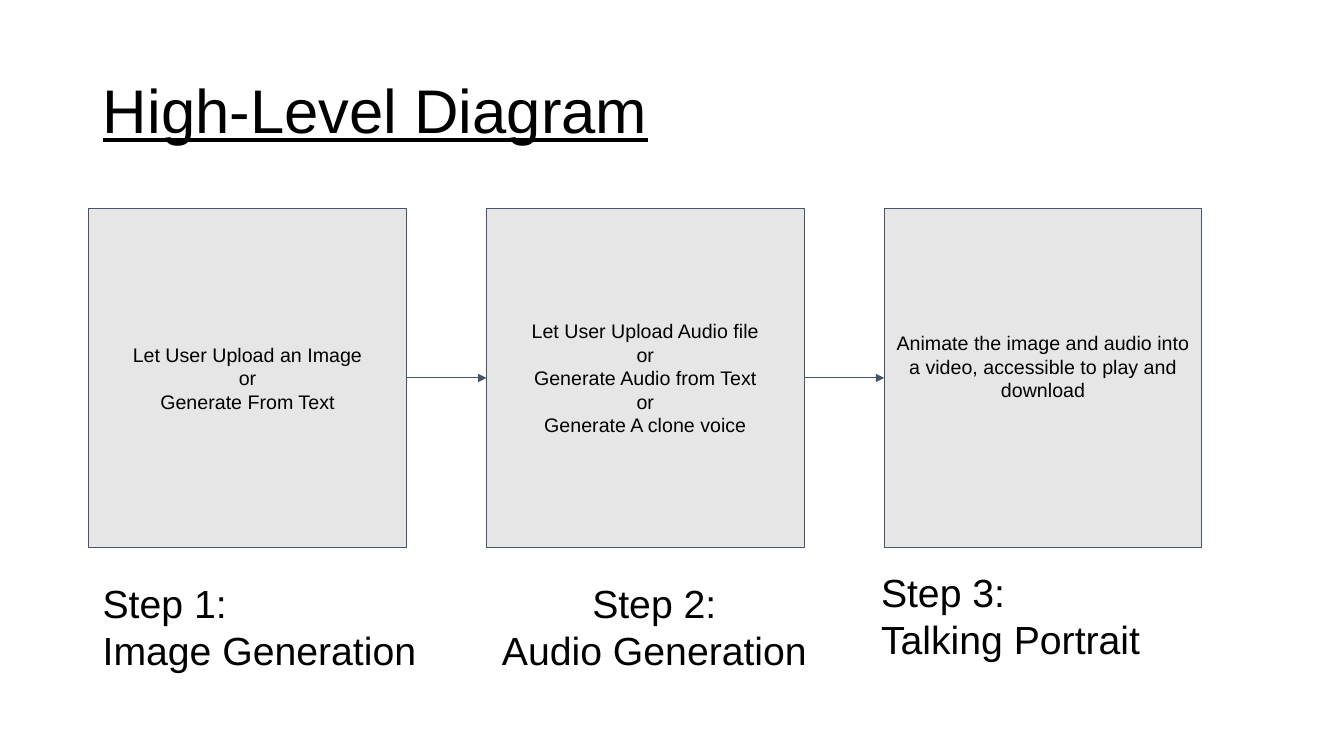
"""Build the High-Level Diagram slide: three linked steps with captions."""
import pptx
import pptx.util
import pptx.dml.color
import pptx.enum.shapes
import pptx.enum.text
import lxml.etree
import pptx.oxml.ns

Inches, Pt = pptx.util.Inches, pptx.util.Pt
RGBColor = pptx.dml.color.RGBColor
ALIGN = pptx.enum.text.PP_ALIGN
ANCHOR = pptx.enum.text.MSO_ANCHOR
BLACK = RGBColor(0x00, 0x00, 0x00)
GREY = RGBColor(0xE7, 0xE6, 0xE6)
SLATE = RGBColor(0x44, 0x54, 0x6A)

TITLE = "High-Level Diagram"
STEPS = [
    {"body": ["Let User Upload an Image", "or", "Generate From Text"],
     "caption": ["Step 1:", "Image Generation"],
     "at": (0.92, 5.65), "align": ALIGN.LEFT, "bottom": 0.1},
    {"body": ["Let User Upload Audio file", "or", "Generate Audio from Text", "or",
              "Generate A clone voice"],
     "caption": ["Step 2:", "Audio Generation"],
     "at": (4.66, 5.65), "align": ALIGN.CENTER, "bottom": 0.1},
    {"body": ["Animate the image and audio into a video, accessible to play and download"],
     "caption": ["Step 3:", "Talking Portrait"],
     "at": (8.64, 5.54), "align": ALIGN.LEFT, "bottom": 0.33},
]
FIRST_LEFT, LAST_LEFT = 0.88, 8.77
BOX_TOP, BOX_W, BOX_H = 2.07, 3.15, 3.36
CAPTION_W, CAPTION_H = 3.66, 1.34


def write(tf, lines, size=14, align=ALIGN.LEFT, anchor=ANCHOR.TOP, inset=0.1,
          bottom=0.1, underline=None, spacing=None):
    """Fill a text frame with one formatted paragraph per line."""
    tf.word_wrap = True
    tf.auto_size = pptx.enum.text.MSO_AUTO_SIZE.NONE
    tf.vertical_anchor = anchor
    tf.margin_left = tf.margin_right = Inches(0.1)
    tf.margin_top, tf.margin_bottom = Inches(inset), Inches(bottom)
    for i, line in enumerate(lines):
        p = tf.paragraphs[0] if i == 0 else tf.add_paragraph()
        p.alignment = align
        p.line_spacing = spacing
        r = p.add_run()
        r.text = line
        r.font.name, r.font.size = "Arial", Pt(size)
        r.font.color.rgb = BLACK
        r.font.underline = underline


def add_box(s, left, step):
    """Add one grey step box and return it."""
    box = s.shapes.add_shape(pptx.enum.shapes.MSO_SHAPE.RECTANGLE, Inches(left),
                             Inches(BOX_TOP), Inches(BOX_W), Inches(BOX_H))
    box.shadow.inherit = False
    box.fill.solid()
    box.fill.fore_color.rgb = GREY
    box.line.color.rgb, box.line.width = SLATE, Pt(0.75)
    write(box.text_frame, step["body"], align=ALIGN.CENTER, anchor=ANCHOR.MIDDLE,
          bottom=step["bottom"])
    return box


def add_arrow(s, start, end):
    """Join two boxes, right side to left side, with an arrow."""
    arrow = s.shapes.add_connector(pptx.enum.shapes.MSO_CONNECTOR.STRAIGHT, 0, 0, 0, 0)
    arrow.begin_connect(start, 3)
    arrow.end_connect(end, 1)
    arrow.line.color.rgb, arrow.line.width = SLATE, Pt(0.75)
    qn = pptx.oxml.ns.qn
    lxml.etree.SubElement(arrow.line._get_or_add_ln(), qn("a:tailEnd"), type="triangle")
    lxml.etree.SubElement(arrow._element.spPr, qn("a:effectLst"))


def main():
    """Lay out the slide and save it."""
    prs = pptx.Presentation()
    prs.slide_width, prs.slide_height = Inches(13.33), Inches(7.5)
    s = prs.slides.add_slide(prs.slide_layouts[5])

    title = s.shapes.title
    title.left, title.top = Inches(0.92), Inches(0.4)
    title.width, title.height = Inches(11.5), Inches(1.45)
    write(title.text_frame, [TITLE], size=44, anchor=ANCHOR.MIDDLE, inset=0.05,
          bottom=0.05, underline=True, spacing=0.9)

    pitch = (LAST_LEFT - FIRST_LEFT) / (len(STEPS) - 1)
    boxes = [add_box(s, FIRST_LEFT + i * pitch, step) for i, step in enumerate(STEPS)]
    for start, end in zip(boxes, boxes[1:]):
        add_arrow(s, start, end)

    for step in STEPS:
        left, top = step["at"]
        caption = s.shapes.add_textbox(Inches(left), Inches(top),
                                       Inches(CAPTION_W), Inches(CAPTION_H))
        write(caption.text_frame, step["caption"], size=28, align=step["align"])

    prs.save("out.pptx")


if __name__ == "__main__":
    main()
